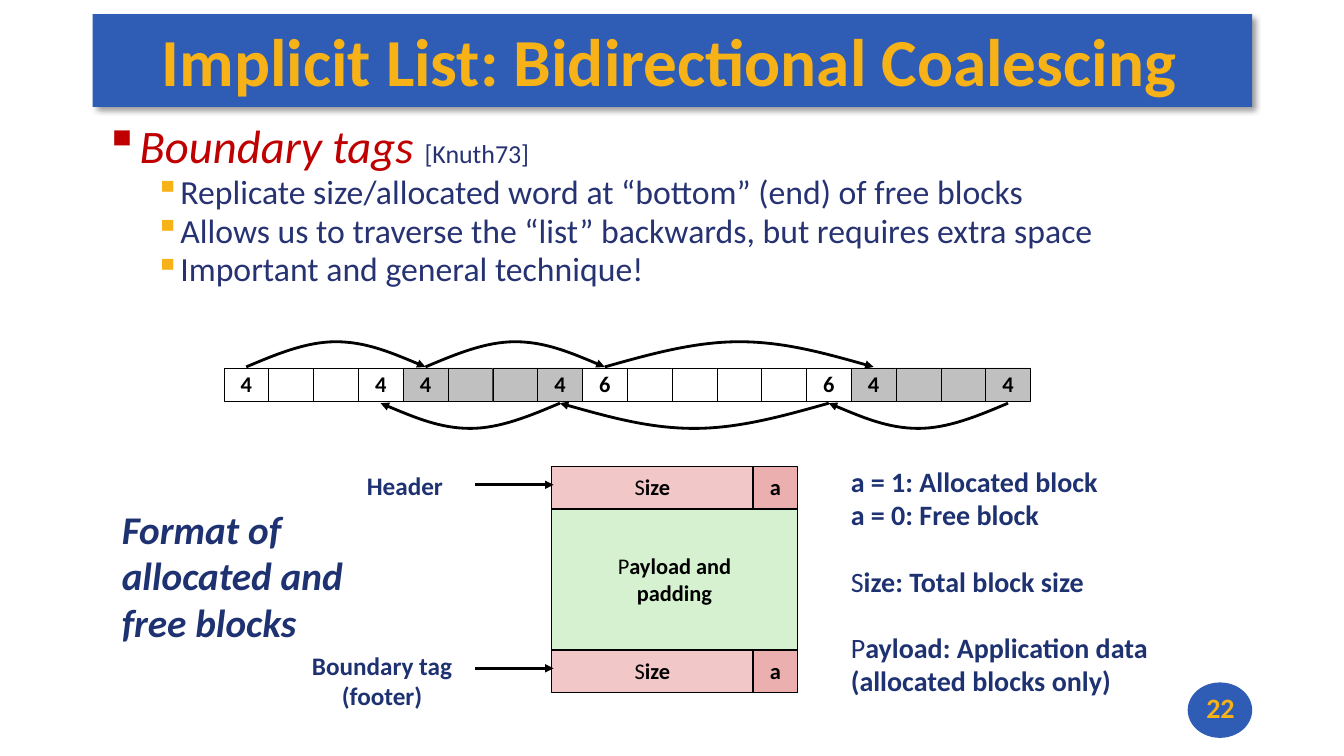
from dataclasses import dataclass, replace
from itertools import pairwise

from lxml.etree import SubElement
from pptx import Presentation
from pptx.dml.color import RGBColor
from pptx.enum.shapes import MSO_CONNECTOR as CONNECTOR, MSO_SHAPE as SHAPE
from pptx.enum.text import MSO_ANCHOR as ANCHOR, PP_ALIGN as ALIGN
from pptx.oxml.ns import qn
from pptx.util import Inches, Pt

BLUE = RGBColor(0x2F, 0x5C, 0xB5)
GOLD = RGBColor(0xF7, 0xB2, 0x17)
RED = RGBColor(0xC0, 0x00, 0x00)
INDIGO = RGBColor(0x27, 0x32, 0x72)
NAVY = RGBColor(0x1E, 0x32, 0x72)
BLACK = RGBColor(0x00, 0x00, 0x00)
WHITE = RGBColor(0xFF, 0xFF, 0xFF)
GRAY = RGBColor(0xC0, 0xC0, 0xC0)
PINK = RGBColor(0xF1, 0xC7, 0xC7)
ROSE = RGBColor(0xEB, 0xAF, 0xAF)
GREEN = RGBColor(0xD5, 0xF1, 0xCF)


@dataclass(frozen=True)
class Font:
    size: float
    color: RGBColor
    bold: bool = True
    italic: bool = False


CELL_FONT = Font(16, BLACK)
CELL_LIGHT = replace(CELL_FONT, bold=False)
LABEL_FONT = Font(18, NAVY)
LEGEND_FONT = Font(20, NAVY)
LEGEND_LIGHT = replace(LEGEND_FONT, bold=False)
FORMAT_FONT = Font(28, NAVY, italic=True)
POINT_FONT = Font(24.1, INDIGO, bold=False)


class SlideBuilder:
    font_name = "Calibri"
    line_spacing = 0.98

    def __init__(self, slide):
        self.slide = slide
        self.shapes = slide.shapes

    def add_runs(self, paragraph, runs, align=ALIGN.LEFT, spacing=None):
        """Add (text, Font) runs to a paragraph."""
        paragraph.alignment = align
        paragraph.line_spacing = spacing or self.line_spacing
        for text, font in runs:
            run = paragraph.add_run()
            run.text = text
            run.font.name = self.font_name
            run.font.size = Pt(font.size)
            run.font.color.rgb = font.color
            run.font.bold = font.bold
            run.font.italic = font.italic

    def fill_frame(self, frame, paragraphs, align, wrap=False):
        frame.word_wrap = wrap
        for index, runs in enumerate(paragraphs):
            paragraph = frame.add_paragraph() if index else frame.paragraphs[0]
            self.add_runs(paragraph, runs, align)

    def text(self, box, paragraphs, align=ALIGN.LEFT, anchor=ANCHOR.TOP, wrap=False):
        shape = self.shapes.add_textbox(*map(Inches, box))
        shape.text_frame.vertical_anchor = anchor
        self.fill_frame(shape.text_frame, paragraphs, align, wrap)
        return shape

    def shape(self, kind, box, fill, line_width=None, paragraphs=()):
        shape = self.shapes.add_shape(kind, *map(Inches, box))
        shape.shadow.inherit = False
        shape.fill.solid()
        shape.fill.fore_color.rgb = fill
        if line_width:
            shape.line.color.rgb = BLACK
            shape.line.width = Pt(line_width)
        else:
            shape.line.fill.background()
        shape.text_frame.vertical_anchor = ANCHOR.MIDDLE
        self.fill_frame(shape.text_frame, paragraphs, ALIGN.CENTER)
        return shape

    def drop_shadow(self, shape):
        effects = shape._element.spPr.find(qn("a:effectLst"))
        shadow = SubElement(effects, qn("a:outerShdw"), blurRad=str(Pt(4)),
                            dist=str(Pt(3)), dir=str(45 * 60000), rotWithShape="0")
        color = SubElement(shadow, qn("a:srgbClr"), val=str(BLACK))
        SubElement(color, qn("a:alpha"), val="40000")

    def arrow_line(self, shape):
        shape.line.color.rgb = BLACK
        shape.line.width = Pt(2)
        line = shape._element.spPr.find(qn("a:ln"))
        SubElement(line, qn("a:tailEnd"), type="triangle")

    def arrow(self, left, right, y):
        ends = map(Inches, (left, y, right, y))
        connector = self.shapes.add_connector(CONNECTOR.STRAIGHT, *ends)
        self.arrow_line(connector)
        SubElement(connector._element.spPr, qn("a:effectLst"))

    def curved_arrow(self, start, end, y, rise):
        """Draw two Bezier halves that meet at the middle of the arc."""
        heights = (0.5, 1, 1, 1, 0.5, 0)
        points = [(Inches(start + (end - start) * step / 6), Inches(y + rise * height))
                  for step, height in enumerate(heights, 1)]
        builder = self.shapes.build_freeform(Inches(start), Inches(y))
        builder.add_line_segments(points, close=False)
        shape = builder.convert_to_shape()
        segments = list(shape._element.iter(qn("a:lnTo")))
        outline = segments[0].getparent()
        outline.set("fill", "none")
        for first in range(0, len(segments), 3):
            curve = SubElement(outline, qn("a:cubicBezTo"))
            for segment in segments[first:first + 3]:
                curve.append(segment[0])
                outline.remove(segment)
        shape.fill.background()
        shape.shadow.inherit = False
        self.arrow_line(shape)

    def bullet(self, paragraph, runs, indent, spacing, color):
        properties = paragraph._p.get_or_add_pPr()
        properties.set("marL", str(Inches(indent)))
        properties.set("indent", str(Inches(-0.25)))
        bullet_color = SubElement(properties, qn("a:buClr"))
        SubElement(bullet_color, qn("a:srgbClr"), val=str(color))
        SubElement(properties, qn("a:buChar"), char="▪")
        self.add_runs(paragraph, runs, spacing=spacing)


def main():
    presentation = Presentation()
    presentation.slide_width = Inches(13.33)
    presentation.slide_height = Inches(7.5)
    slide = presentation.slides.add_slide(presentation.slide_layouts[6])
    page = SlideBuilder(slide)

    # Title banner and page number
    banner = page.shape(SHAPE.RECTANGLE, (0.92, 0.14, 11.5, 0.92), BLUE)
    page.drop_shadow(banner)
    title = page.text((0.92, 0.17, 11.51, 0.9),
                      [[("Implicit List: Bidirectional Coalescing", Font(48, GOLD))]],
                      ALIGN.CENTER, ANCHOR.MIDDLE, wrap=True)
    title.text_frame.margin_left = Inches(0.08)
    title.text_frame.margin_right = Inches(0.15)
    page.shape(SHAPE.OVAL, (11.78, 6.77, 0.64, 0.55), BLUE)
    page.text((11.78, 6.77, 0.65, 0.52), [[("22", Font(20, GOLD))]],
              ALIGN.CENTER, ANCHOR.MIDDLE, wrap=True)

    # Bullet points
    body = page.text((0.94, 1.25, 11.49, 1.73), [], wrap=True).text_frame
    page.bullet(body.paragraphs[0],
                [("Boundary tags ", Font(33.3, RED, bold=False, italic=True)),
                 ("[Knuth73]", Font(18.5, INDIGO, bold=False))], 0.25, 0.73, RED)
    for point in ("Replicate size/allocated word at “bottom” (end) of free blocks",
                  "Allows us to traverse the “list” backwards, but requires extra space",
                  "Important and general technique!"):
        paragraph = body.add_paragraph()
        page.bullet(paragraph, [(point, POINT_FONT)], 0.75, 0.78, GOLD)
        paragraph.space_before = Pt(5.2)

    # Heap row: each block carries its size in its first and last word
    row_left, word_width = 2.22, 8 / 18
    headers, footers = [], []
    left = row_left
    for size, fill in ((4, WHITE), (4, GRAY), (6, WHITE), (4, GRAY)):
        for word in range(size):
            tagged = word in (0, size - 1)
            page.shape(SHAPE.RECTANGLE, (left + word * word_width, 3.65, word_width, 0.33),
                       fill, 0.25, [[(str(size), CELL_FONT)]] if tagged else ())
        headers.append(left + word_width / 2)
        left += size * word_width
        footers.append(left - word_width / 2)

    # Forward and backward links
    for start, end in pairwise(headers):
        page.curved_arrow(start, end, 3.64, -0.25)
    for end, start in pairwise(footers):
        page.curved_arrow(start, end, 4, 0.25)

    # Block format
    page.shape(SHAPE.RECTANGLE, (5.47, 5.05, 2.44, 1.41), GREEN, 1,
               [[("P", CELL_LIGHT), ("ayload and", CELL_FONT)], [("padding", CELL_FONT)]])
    for top in (4.63, 6.45):
        page.shape(SHAPE.RECTANGLE, (5.47, top, 2, 0.42), PINK, 1,
                   [[("S", CELL_LIGHT), ("ize", CELL_FONT)]])
        page.shape(SHAPE.RECTANGLE, (7.47, top, 0.44, 0.42), ROSE, 1, [[("a", CELL_FONT)]])
        page.arrow(4.71, 5.49, top + 0.18)

    # Labels
    page.text((1.11, 4.99, 2.41, 1.49),
              [[(line, FORMAT_FONT)] for line in ("Format of", "allocated and", "free blocks")])
    page.text((3.54, 4.63, 0.96, 0.4), [[("Header", LABEL_FONT)]])
    page.text((2.99, 6.42, 1.6, 0.7),
              [[(line, LABEL_FONT)] for line in ("Boundary tag", "(footer)")], ALIGN.CENTER)

    # Legend
    legend = page.text((8.34, 4.58, 3.17, 2.74), [
        [("a = 1: Allocated block", LEGEND_FONT)],
        [("a = 0: Free block", LEGEND_FONT)],
        [("S", LEGEND_LIGHT), ("ize: Total block size", LEGEND_FONT)],
        [("P", LEGEND_LIGHT), ("ayload: Application data", LEGEND_FONT)],
        [("(allocated blocks only)", LEGEND_FONT)],
    ])
    for group_start in (2, 3):
        legend.text_frame.paragraphs[group_start].space_before = Pt(24)

    presentation.save("out.pptx")


if __name__ == "__main__":
    main()
